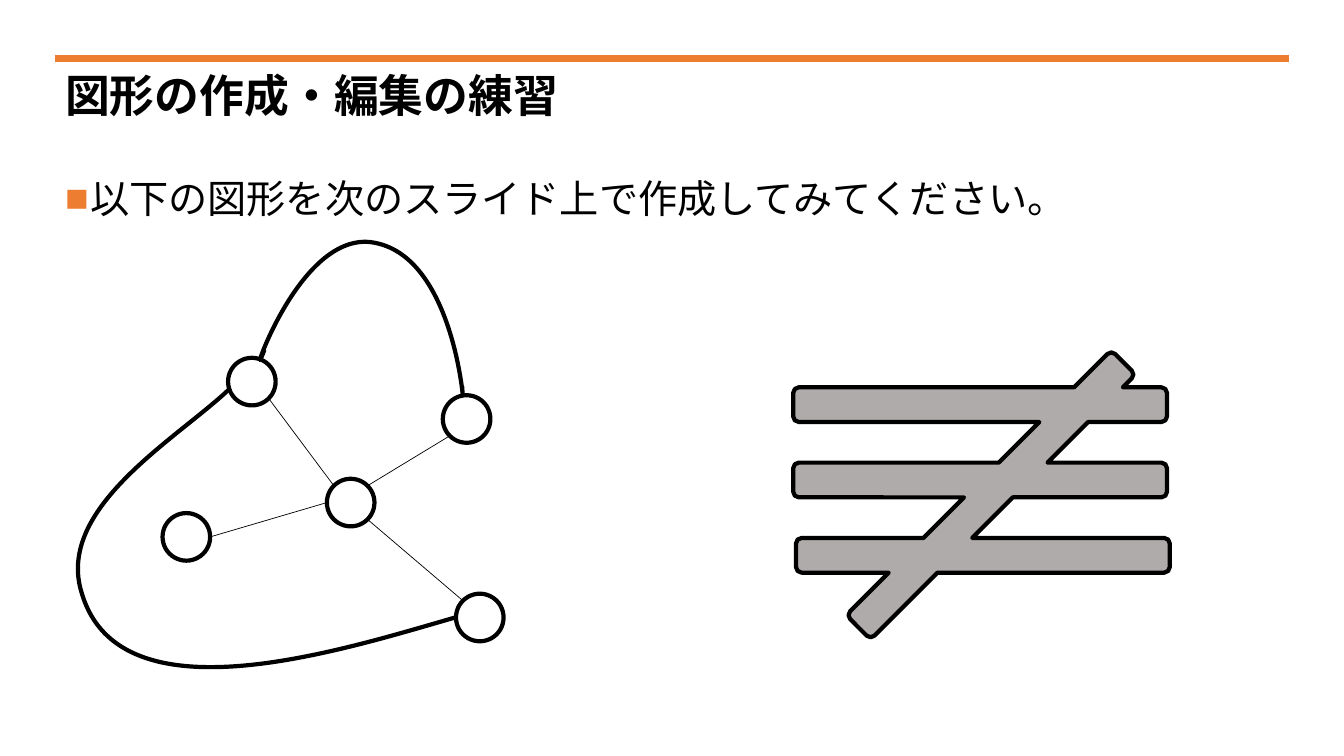
from math import cos, radians, sin

from lxml import etree
from pptx import Presentation
from pptx import util as u
from pptx.dml.color import RGBColor
from pptx.enum import lang, shapes, text
from pptx.oxml import ns

FONT = "Noto Sans CJK JP"
BLACK, ORANGE, GRAY = "000000", "ED7D31", "AFABAB"
NODE_RADIUS = 17
NODES = {
    "top": (124.6, 99.5),
    "hub": (195.2, 185.9),
    "left": (77.8, 210.4),
    "bottom": (287.4, 268),
    "right": (278, 126.2),
}
EDGES = [
    ("top", 45, "hub", 225),
    ("left", 0, "hub", 180),
    ("right", 135, "hub", 315),
    ("bottom", 225, "hub", 45),
]
ARC = [(133.6, 76.8), (119.2, 114.3), (155.2, -6), (209.2, -0.2),
       (274, 7.7), (276.9, 138.8), (274.8, 102.8)]
LOOP = [(109.2, 104.2), (71.7, 140.2), (-16.8, 189.9), (3.3, 251.1),
        (30.7, 342.5), (188.4, 291.4), (271.2, 267.6)]
ARC_BOX = (130.6, 0, 144.7, 109.4)
LOOP_BOX = (0, 104.2, 270.7, 199.4)


def color(value):
    """Turn a hex string into a colour."""
    return RGBColor.from_string(value)


def set_line(shape, value, width):
    """Give a shape or connector a solid line."""
    shape.line.color.rgb = color(value)
    shape.line.width = u.Pt(width)


def add_line(parent, start, end, value, width):
    """Draw a straight line without a shadow."""
    line = parent.add_connector(
        shapes.MSO_CONNECTOR.STRAIGHT, *(u.Pt(n) for n in (*start, *end)))
    set_line(line, value, width)
    etree.SubElement(line._element.spPr, ns.qn("a:effectLst"))


def style_shape(shape, fill=None):
    """Apply the black outline and an optional fill."""
    shape.shadow.inherit = False
    if fill:
        shape.fill.solid()
        shape.fill.fore_color.rgb = color(fill)
    else:
        shape.fill.background()
    set_line(shape, BLACK, 3)


def add_outline(parent, box, commands, fill=None, rotation=0):
    """Draw path commands, given relative to the middle of a box."""
    left, top, width, height = box
    builder = parent.build_freeform(u.Pt(left), u.Pt(top))
    builder.add_line_segments([(u.Pt(left + width), u.Pt(top + height))], close=False)
    shape = builder.convert_to_shape()
    shape.rotation = rotation
    style_shape(shape, fill)
    outline = shape._element.find(".//" + ns.qn("a:path"))
    for child in list(outline):
        outline.remove(child)
    c, s = cos(radians(rotation)), sin(radians(rotation))
    for name, points in commands:
        command = etree.SubElement(outline, ns.qn("a:" + name))
        for x, y in points:
            etree.SubElement(command, ns.qn("a:pt"),
                             x=str(u.Pt(width / 2 + x * c + y * s)),
                             y=str(u.Pt(height / 2 + y * c - x * s)))


def centered(points, box):
    """Express points relative to the middle of a box."""
    left, top, width, height = box
    return [(x - left - width / 2, y - top - height / 2) for x, y in points]


def toward(start, end, distance):
    """Find the point a given distance along a segment."""
    dx, dy = end[0] - start[0], end[1] - start[1]
    ratio = distance / (dx * dx + dy * dy) ** 0.5
    return start[0] + dx * ratio, start[1] + dy * ratio


def round_corners(corners, radius):
    """Turn corners into closed path commands, rounding the marked ones."""
    commands = []
    for index, (corner, is_round) in enumerate(corners):
        before = corners[index - 1][0]
        after = corners[(index + 1) % len(corners)][0]
        entry = toward(corner, before, radius) if is_round else corner
        commands.append(("lnTo" if commands else "moveTo", [entry]))
        if is_round:
            commands.append(("cubicBezTo", [toward(corner, before, radius * 0.45),
                                            toward(corner, after, radius * 0.45),
                                            toward(corner, after, radius)]))
    return commands + [("close", [])]


def add_text(slide, content, box, size, bold=False):
    """Place one paragraph in a box and return its frame and paragraph."""
    frame = slide.shapes.add_textbox(*(u.Pt(n) for n in box)).text_frame
    frame.word_wrap = True
    frame.text = content
    paragraph = frame.paragraphs[0]
    font = paragraph.runs[0].font
    font.name, font.size, font.bold = FONT, u.Pt(size), bold
    font.language_id = lang.MSO_LANGUAGE_ID.JAPANESE
    font.color.rgb = color(BLACK)
    etree.SubElement(font._element, ns.qn("a:ea"), typeface=FONT)
    return frame, paragraph


def add_title(slide, left, top, width, height):
    """Draw the rule and the heading below it."""
    add_line(slide.shapes, (left, top), (left + width, top), ORANGE, 4.5)
    frame, paragraph = add_text(
        slide, "図形の作成・編集の練習", (left, top, width, height), 32, True)
    frame.vertical_anchor = text.MSO_ANCHOR.MIDDLE
    paragraph.line_spacing = 0.9


def add_instruction(slide, left, top, width, height):
    """Write the bulleted instruction."""
    _, paragraph = add_text(
        slide, "以下の図形を次のスライド上で作成してみてください。",
        (left, top, width, height), 28)
    paragraph.line_spacing = 1.3
    paragraph.space_before = u.Pt(10)
    properties = paragraph._p.get_or_add_pPr()
    properties.set("marL", str(u.Pt(18)))
    properties.set("indent", str(-u.Pt(18)))
    bullet_color = etree.SubElement(properties, ns.qn("a:buClr"))
    etree.SubElement(bullet_color, ns.qn("a:srgbClr"), val=ORANGE)
    etree.SubElement(properties, ns.qn("a:buFont"), typeface="Arial")
    etree.SubElement(properties, ns.qn("a:buChar"), char="■")


def add_graph(slide, left, top):
    """Draw the grouped nodes, straight edges and curved edges."""
    group = slide.shapes.add_group_shape().shapes

    def rim(name, angle):
        """Find a point on the rim of a node."""
        x, y = NODES[name]
        return (left + x + NODE_RADIUS * cos(radians(angle)),
                top + y + NODE_RADIUS * sin(radians(angle)))

    for x, y in NODES.values():
        node = group.add_shape(
            shapes.MSO_SHAPE.OVAL,
            u.Pt(left + x - NODE_RADIUS), u.Pt(top + y - NODE_RADIUS),
            u.Pt(2 * NODE_RADIUS), u.Pt(2 * NODE_RADIUS))
        style_shape(node)
    for start, start_angle, end, end_angle in EDGES:
        add_line(group, rim(start, start_angle), rim(end, end_angle), BLACK, 0.5)
    for curve, (x, y, width, height) in ((ARC, ARC_BOX), (LOOP, LOOP_BOX)):
        points = centered(curve, (x, y, width, height))
        commands = [("moveTo", points[:1]), ("cubicBezTo", points[1:4]),
                    ("cubicBezTo", points[4:])]
        add_outline(group, (left + x, top + y, width, height), commands)


def add_crossed_bars(slide, left, top, width, height):
    """Draw three bars merged with a diagonal slash, in a turned box."""
    bar_width, near, far = 267, -0.5, 34.4
    upper, lower = 185.5, -193.2
    bars = [(shift - 134.7, 53.8 * row - 66.4, 53.8 * row - 41.6)
            for row, shift in enumerate((0, 0, 2))]

    def slash_corner(total, difference):
        """Find where a long side of the slash meets an end."""
        return ((total + difference) / 2, (total - difference) / 2), True

    corners = [slash_corner(near, upper), slash_corner(far, upper)]
    for start, high, low in bars:
        end = start + bar_width
        corners += [((far - high, high), False), ((end, high), True),
                    ((end, low), True), ((far - low, low), False)]
    corners += [slash_corner(far, lower), slash_corner(near, lower)]
    for start, high, low in reversed(bars):
        corners += [((near - low, low), False), ((start, low), True),
                    ((start, high), True), ((near - high, high), False)]
    add_outline(slide.shapes, (left, top, width, height),
                round_corners(corners, 4), GRAY, 135)


def main():
    """Build and save the slide."""
    presentation = Presentation()
    presentation.slide_width, presentation.slide_height = u.Pt(960), u.Pt(540)
    slide = presentation.slides.add_slide(presentation.slide_layouts[6])
    add_crossed_bars(slide, 562.3, 203, 277.9, 280.1)
    add_title(slide, 39.5, 41.8, 881.3, 56)
    add_instruction(slide, 39.4, 111.2, 881.3, 56)
    add_graph(slide, 55.3, 173.1)
    presentation.save("out.pptx")


if __name__ == "__main__":
    main()
